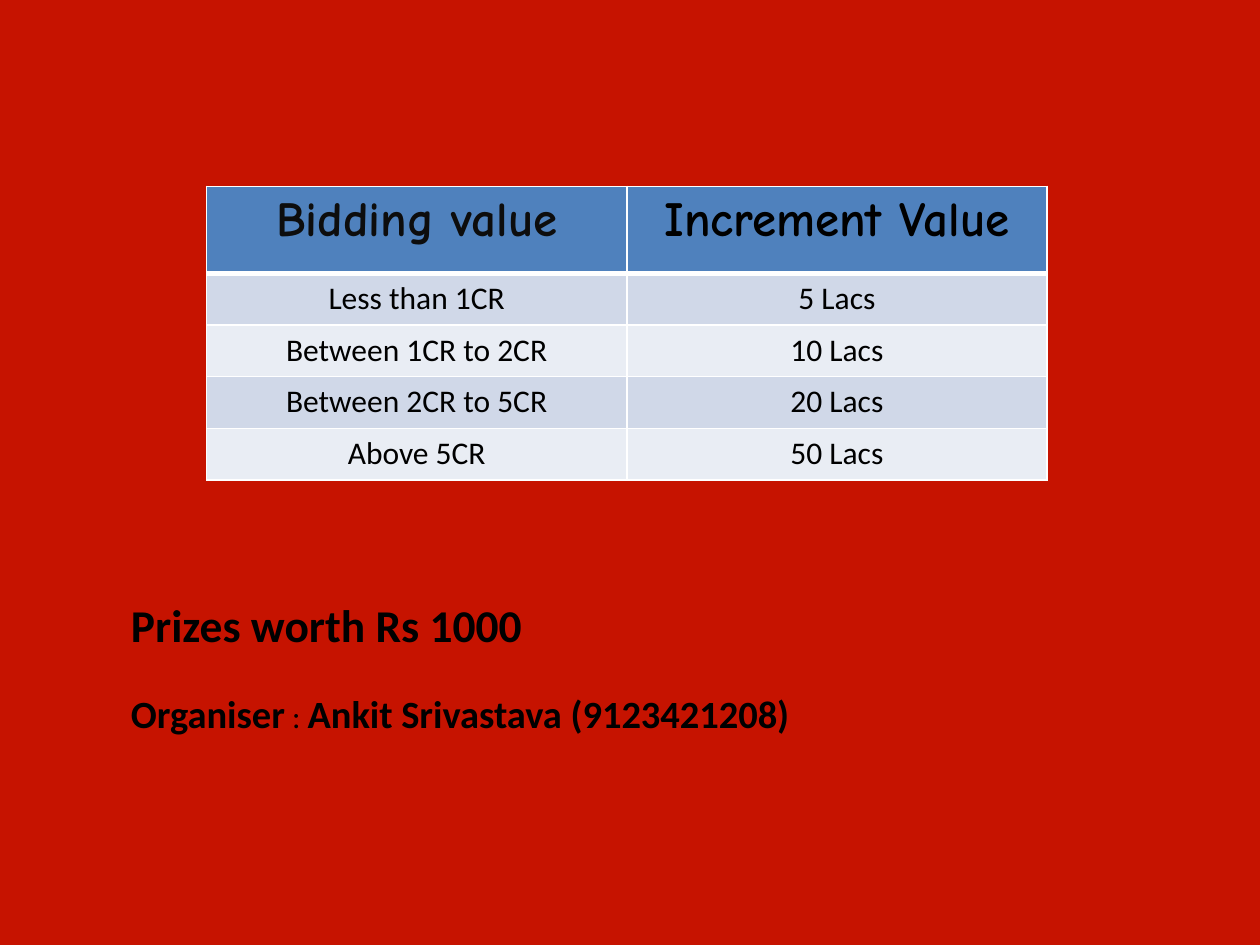
from lxml import etree
from pptx import Presentation
from pptx.dml.color import RGBColor
from pptx.enum import text
from pptx.oxml.ns import qn
from pptx.util import Inches, Pt

COLORS = {
    "background": "C61300", "header": "4F81BD", "band_dark": "D0D8E8",
    "band_light": "E9EDF4", "border": "FFFFFF", "soft_black": "0D0D0D",
    "black": "000000",
}
BIDS = [
    ("Bidding value", "Increment Value"),
    ("Less than 1CR", "5 Lacs"),
    ("Between 1CR to 2CR", "10 Lacs"),
    ("Between 2CR to 5CR", "20 Lacs"),
    ("Above 5CR", "50 Lacs"),
]
DETAILS = [
    [("Prizes worth Rs 1000", 26, True)],
    [("Organiser", 22, True), (" : ", 18, False),
     ("Ankit Srivastava (9123421208)", 22, True)],
]


def rgb(name):
    return RGBColor.from_string(COLORS[name])


def add_run(p, words, size, bold, color="black", font="Calibri"):
    r = p.add_run()
    r.text = words
    r.font.name, r.font.size, r.font.bold = font, Pt(size), bold
    r.font.color.rgb = rgb(color)


def set_borders(cell, widths):
    # Border lines come before the fill in the cell properties
    tc_pr = cell._tc.get_or_add_tcPr()
    for i, (side, width) in enumerate(widths.items()):
        ln = etree.Element(qn(f"a:{side}"), w=str(Pt(width)))
        fill = etree.SubElement(ln, qn("a:solidFill"))
        etree.SubElement(fill, qn("a:srgbClr"), val=COLORS["border"])
        tc_pr.insert(i, ln)


def add_bid_table(slide, left, top, width, header_height, row_height):
    height = header_height + row_height * (len(BIDS) - 1)
    table = slide.shapes.add_table(len(BIDS), 2, left, top, width, height).table
    for i, values in enumerate(BIDS):
        header = i == 0
        table.rows[i].height = header_height if header else row_height
        band = "header" if header else ("band_light", "band_dark")[i % 2]
        for j, value in enumerate(values):
            cell = table.cell(i, j)
            cell.fill.solid()
            cell.fill.fore_color.rgb = rgb(band)
            set_borders(cell, {"lnL": 1, "lnR": 1, "lnT": 3 if i == 1 else 1,
                               "lnB": 3 if header else 1})
            p = cell.text_frame.paragraphs[0]
            p.alignment = text.PP_ALIGN.CENTER
            if header:
                add_run(p, value, 28, True, ("soft_black", "black")[j], "Comic Neue")
            else:
                add_run(p, value, 18, False)


def add_details(slide, left, top, width, height):
    tf = slide.shapes.add_textbox(left, top, width, height).text_frame
    tf.word_wrap = False
    tf.auto_size = text.MSO_AUTO_SIZE.SHAPE_TO_FIT_TEXT
    for i, runs in enumerate(DETAILS):
        p = tf.add_paragraph() if i else tf.paragraphs[0]
        p.space_before = Pt(22 * i)
        for run in runs:
            add_run(p, *run)


# Slide
prs = Presentation()
prs.slide_width, prs.slide_height = Inches(10), Inches(7.5)
s = prs.slides.add_slide(prs.slide_layouts[6])
s.background.fill.solid()
s.background.fill.fore_color.rgb = rgb("background")

# Bidding table and contact details
add_bid_table(s, Inches(1.64), Inches(1.48), Inches(6.67), Inches(0.69), Inches(0.41))
add_details(s, Inches(0.94), Inches(4.69), Inches(5.49), Inches(1.21))

prs.save("out.pptx")
